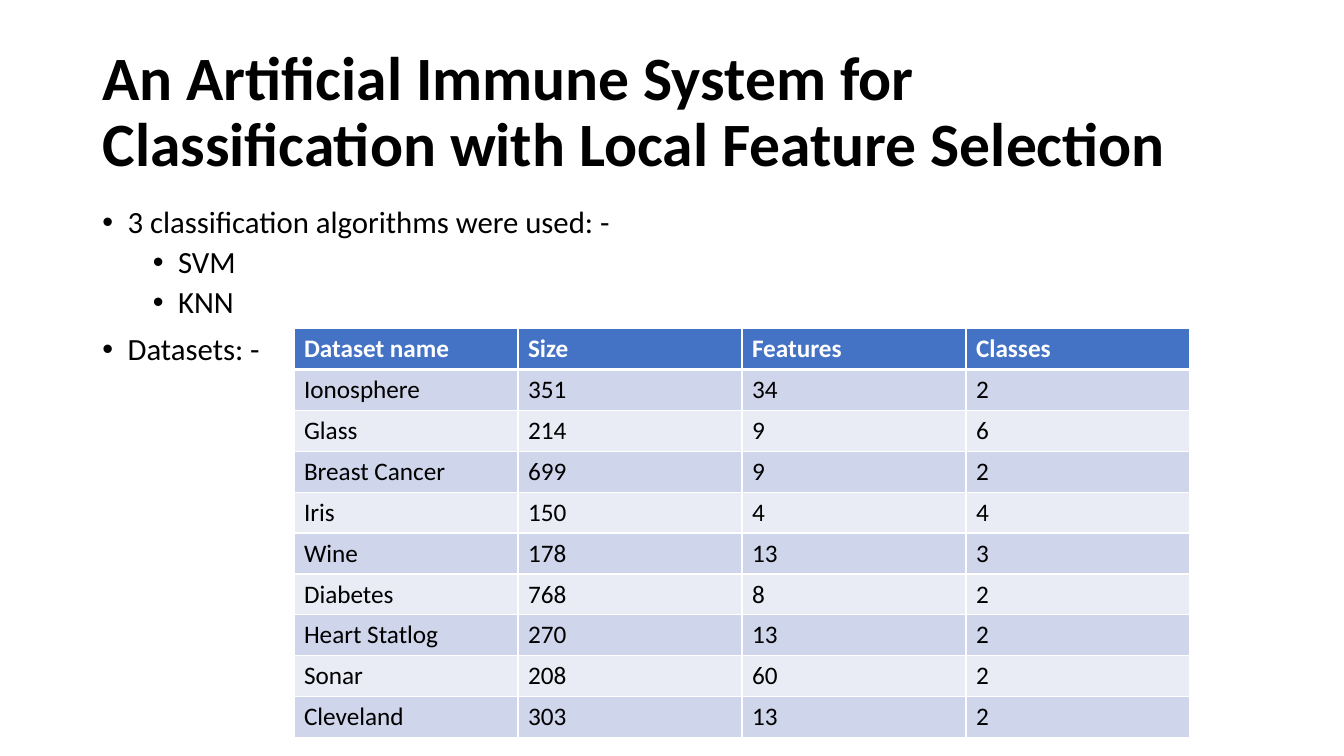
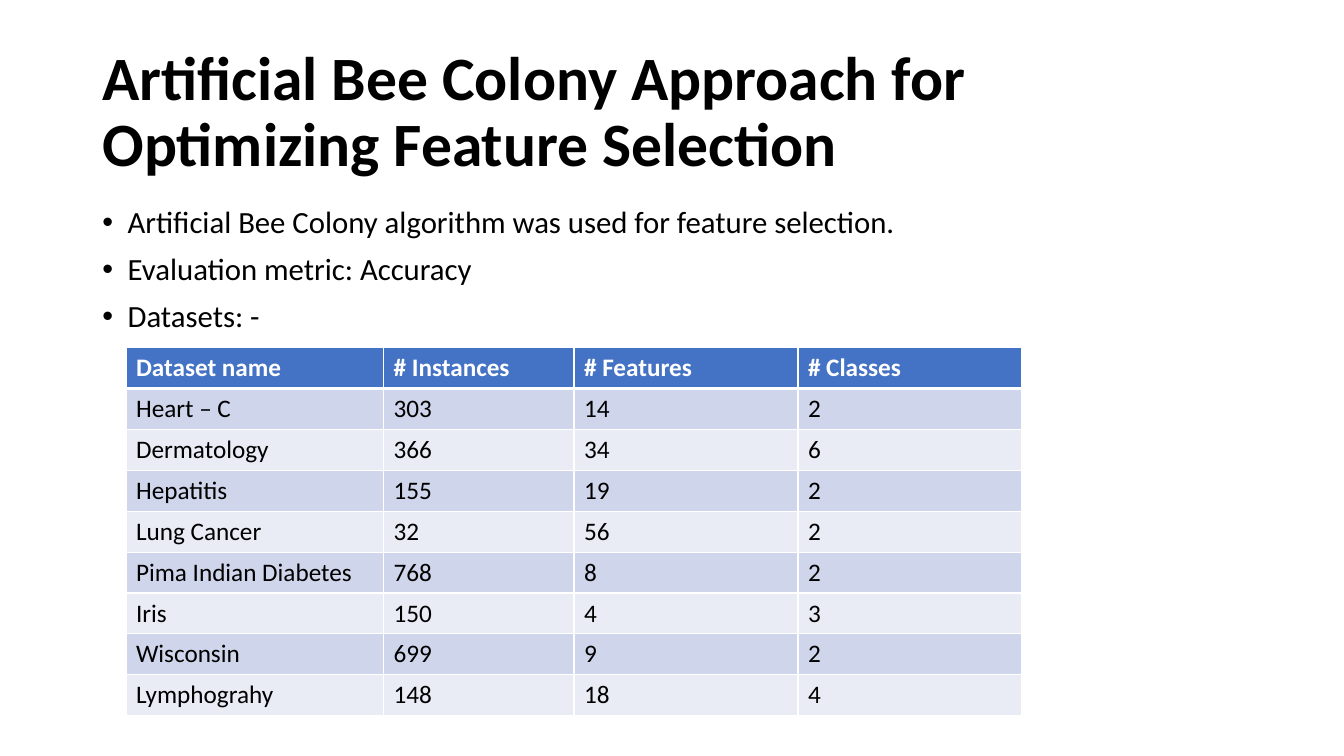
from lxml.etree import SubElement as Sub
from pptx import Presentation
from pptx.dml.color import RGBColor
from pptx.enum.text import MSO_ANCHOR as ANCHOR, MSO_AUTO_SIZE as FIT, PP_ALIGN as ALIGN
from pptx.oxml.ns import qn
from pptx.util import Pt

FONT = "Calibri"
BLACK, WHITE, BLUE = "000000", "FFFFFF", "4472C4"
BANDS = ["E9EBF5", "CFD5EA"]
LEFT, WIDTH = 66, 828
ROW_H = 29.2

SLIDES = [
    {
        "title": "An Artificial Immune System for Classification with Local Feature Selection",
        "bullets": [
            (0, "3 classification algorithms were used: -"),
            (1, "SVM"),
            (1, "KNN"),
            (0, "Datasets: -"),
        ],
        "at": (210, 234.8),
        "cols": [160, 160, 160, 160],
        "rows": [
            ("Dataset name", "Size", "Features", "Classes"),
            ("Ionosphere", 351, 34, 2),
            ("Glass", 214, 9, 6),
            ("Breast Cancer", 699, 9, 2),
            ("Iris", 150, 4, 4),
            ("Wine", 178, 13, 3),
            ("Diabetes", 768, 8, 2),
            ("Heart Statlog", 270, 13, 2),
            ("Sonar", 208, 60, 2),
            ("Cleveland", 303, 13, 2),
        ],
    },
    {
        "title": "Artificial Bee Colony Approach for Optimizing Feature Selection",
        "bullets": [
            (0, "Artificial Bee Colony algorithm was used for feature selection."),
            (0, "Evaluation metric: Accuracy"),
            (0, "Datasets: -"),
        ],
        "at": (90, 248.4),
        "cols": [184, 136, 160, 160],
        "rows": [
            ("Dataset name", "# Instances", "# Features", "# Classes"),
            ("Heart – C", 303, 14, 2),
            ("Dermatology", 366, 34, 6),
            ("Hepatitis", 155, 19, 2),
            ("Lung Cancer", 32, 56, 2),
            ("Pima Indian Diabetes", 768, 8, 2),
            ("Iris", 150, 4, 3),
            ("Wisconsin", 699, 9, 2),
            ("Lymphograhy", 148, 18, 4),
        ],
    },
]


def rgb(color):
    return RGBColor.from_string(color)


def write(p, text, size=18, color=BLACK, bold=False, spacing=None, before=0):
    p.alignment = ALIGN.LEFT
    p.line_spacing = spacing
    p.space_before = Pt(before)
    r = p.add_run()
    r.text = text
    r.font.name = FONT
    r.font.size = Pt(size)
    r.font.bold = bold
    r.font.color.rgb = rgb(color)


prs = Presentation()
prs.slide_width, prs.slide_height = Pt(960), Pt(540)

for data in SLIDES:
    s = prs.slides.add_slide(prs.slide_layouts[1])
    title, body = s.placeholders
    for sp, top, height in [(title, 28.8, 104.4), (body, 144, 342.6)]:
        sp.left, sp.top, sp.width, sp.height = Pt(LEFT), Pt(top), Pt(WIDTH), Pt(height)
        sp.text_frame.auto_size = FIT.NONE
    title.text_frame.vertical_anchor = ANCHOR.MIDDLE
    write(title.text_frame.paragraphs[0], data["title"], size=44, bold=True, spacing=0.9)

    tf = body.text_frame
    for i, (level, text) in enumerate(data["bullets"]):
        p = tf.add_paragraph() if i else tf.paragraphs[0]
        p.level = level
        write(p, text, size=22, spacing=0.9, before=5 if level else 10)
        pPr = p._p.get_or_add_pPr()
        pPr.set("marL", str(Pt(18 + 36 * level)))
        pPr.set("indent", str(Pt(-18)))
        Sub(pPr, qn("a:buFont"), typeface="Arial")
        Sub(pPr, qn("a:buChar"), char="•")

    rows, cols = data["rows"], data["cols"]
    x, y = data["at"]
    table = s.shapes.add_table(len(rows), len(cols), Pt(x), Pt(y),
                               Pt(sum(cols)), Pt(ROW_H * len(rows))).table
    for column, width in zip(table.columns, cols):
        column.width = Pt(width)
    for i, row in enumerate(rows):
        table.rows[i].height = Pt(ROW_H)
        header = i == 0
        edges = {"lnL": 1, "lnR": 1, "lnT": 3 if i == 1 else 1, "lnB": 3 if header else 1}
        for cell, value in zip(table.rows[i].cells, row):
            write(cell.text_frame.paragraphs[0], str(value),
                  color=WHITE if header else BLACK, bold=header)
            tcPr = cell._tc.get_or_add_tcPr()
            for edge, weight in edges.items():
                ln = Sub(tcPr, qn("a:" + edge), w=str(Pt(weight)))
                Sub(Sub(ln, qn("a:solidFill")), qn("a:srgbClr"), val=WHITE)
            cell.fill.solid()
            cell.fill.fore_color.rgb = rgb(BLUE if header else BANDS[i % 2])

prs.save("out.pptx")
